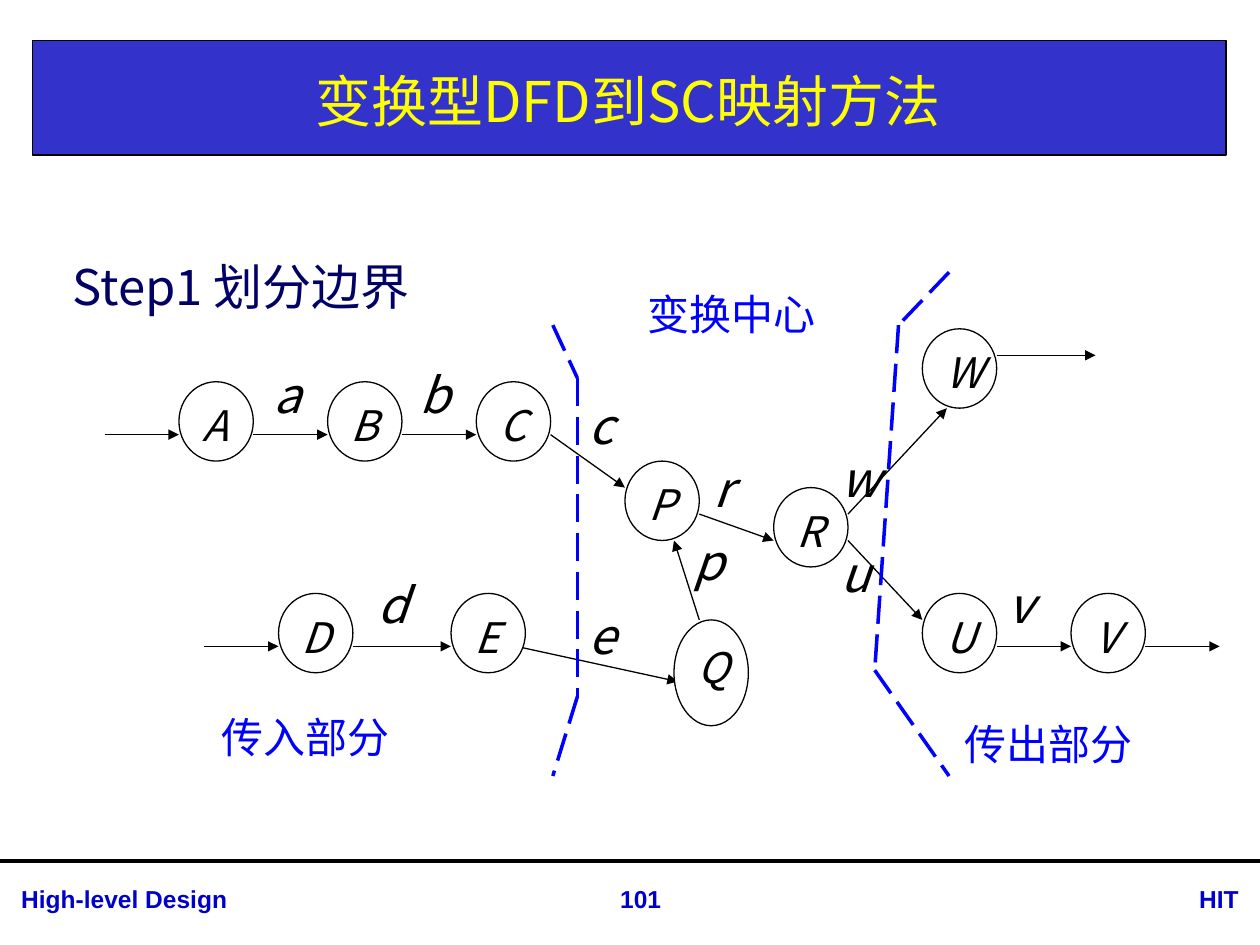
import itertools

import pptx
import pptx.dml.color
import pptx.enum.dml
import pptx.enum.shapes
import pptx.enum.text
import pptx.oxml.ns
import pptx.util
from lxml import etree

WIDTH, HEIGHT = 10, 7.5
# Diagram grid: origin and cell size in inches
LEFT, TOP, COL, ROW = 0.83, 2.61, 0.59, 0.21

CJK, LATIN = "Noto Sans CJK SC", "Arial"
BLACK, WHITE, BLUE = "000000", "FFFFFF", "0000FF"
ALIGN = pptx.enum.text.PP_ALIGN

# Process: column, row, height in rows
PROCESSES = {
    "P": (7, 5, 3), "E": (4.66, 10, 3), "D": (2.34, 10, 3), "C": (5, 2, 3),
    "B": (3, 2, 3), "A": (1, 2, 3), "W": (11, 0, 3), "R": (9, 6, 3),
    "U": (11, 10, 3), "V": (13, 10, 3), "Q": (7.66, 11, 4),
}
# Flows: start column and row, end column and row
FLOWS_BEHIND = [((5.54, 12), (7.71, 13.33)), ((6, 4), (7, 6))]
FLOWS = [
    ((0, 4), (1, 4)), ((2, 4), (3, 4)), ((4, 4), (5, 4)),
    ((8, 7), (9, 8)), ((10, 8), (11, 11)), ((10, 7), (11.33, 3)),
    ((12, 12), (13, 12)), ((14, 12), (15, 12)), ((12, 1), (13.33, 1)),
    ((1.34, 12), (2.34, 12)), ((3.34, 12), (4.66, 12)), ((8, 11), (7.66, 8)),
]
# Flow name: column, row, width in columns
FLOW_NAMES = {
    "a": (2.1, 1.1, 0.8), "b": (4.07, 1.1, 0.8), "c": (6.34, 2.29, 0.78),
    "d": (3.51, 9.05, 0.8), "e": (6.34, 10.24, 0.78), "p": (7.75, 7.43, 0.8),
    "r": (8.03, 4.67, 0.54), "w": (9.73, 4.29, 0.9), "u": (9.73, 7.86, 0.75),
    "v": (11.98, 9.05, 0.71),
}
BOUNDARIES = [
    [(6.03, -0.14), (6.36, 1.86), (6.36, 13.9), (6.03, 16.9)],
    [(11.36, -2.14), (10.68, -0.14), (10.36, 12.9), (11.36, 16.9)],
]
# Text, then left, top, width and height in percent of the slide
REGIONS = [
    ("传入部分", (16.6, 74.67, 21.3, 6.67)),
    ("变换中心", (50.4, 29.87, 20.5, 6.67)),
    ("传出部分", (75.6, 75.33, 20.5, 6.67)),
]
FOOTER = [
    ("High-level Design", (0.7, 92.93, 38.5, 4.53), ALIGN.LEFT),
    ("HIT", (89, 92.93, 10.3, 4.53), ALIGN.RIGHT),
    ("101", (45.7, 92.93, 10.3, 4.53), ALIGN.CENTER),
]


def color(hex_string):
    return pptx.dml.color.RGBColor.from_string(hex_string)


def inches(*lengths):
    return [pptx.util.Inches(length) for length in lengths]


def share(left, top, width, height):
    return inches(left * WIDTH / 100, top * HEIGHT / 100,
                  width * WIDTH / 100, height * HEIGHT / 100)


def grid_point(col, row):
    return inches(LEFT + col * COL, TOP + row * ROW)


def write(frame, text, size, ink, font=CJK, align=ALIGN.LEFT, bold=False, italic=False):
    paragraph = frame.paragraphs[0]
    paragraph.alignment = align
    run = paragraph.add_run()
    run.text = text
    run.font.size = pptx.util.Pt(size)
    run.font.name = font
    run.font.bold = bold
    run.font.italic = italic
    run.font.color.rgb = color(ink)
    east_asian = etree.SubElement(run.font._element, pptx.oxml.ns.qn("a:ea"))
    east_asian.set("typeface", font)


def add_text(slide, box, text, size, ink, wrap=True, middle=False, **style):
    frame = slide.shapes.add_textbox(*box).text_frame
    frame.word_wrap = wrap
    if middle:
        frame.vertical_anchor = pptx.enum.text.MSO_ANCHOR.MIDDLE
    write(frame, text, size, ink, **style)


def add_outlined(slide, kind, box, fill):
    shape = slide.shapes.add_shape(kind, *box)
    shape.shadow.inherit = False
    shape.fill.solid()
    shape.fill.fore_color.rgb = color(fill)
    shape.line.color.rgb = color(BLACK)
    shape.line.width = pptx.util.Pt(0.75)
    return shape


def add_line(slide, start, end, ink=BLACK, width=0.75, dashed=False, arrow=False):
    line = slide.shapes.add_connector(
        pptx.enum.shapes.MSO_CONNECTOR.STRAIGHT, *start, *end)
    line.line.color.rgb = color(ink)
    line.line.width = pptx.util.Pt(width)
    if dashed:
        line.line.dash_style = pptx.enum.dml.MSO_LINE.LONG_DASH
    if arrow:
        head = etree.SubElement(line.line._get_or_add_ln(), pptx.oxml.ns.qn("a:tailEnd"))
        head.set("type", "triangle")
    etree.SubElement(line._element.spPr, pptx.oxml.ns.qn("a:effectLst"))


def add_flows(slide, flows):
    for start, end in flows:
        add_line(slide, grid_point(*start), grid_point(*end), arrow=True)


def add_process(slide, name, col, row, rows):
    box = grid_point(col, row) + inches(COL, rows * ROW)
    oval = add_outlined(slide, pptx.enum.shapes.MSO_SHAPE.OVAL, box, WHITE)
    oval.text_frame.vertical_anchor = pptx.enum.text.MSO_ANCHOR.TOP
    write(oval.text_frame, name, 24, BLACK, align=ALIGN.JUSTIFY, italic=True)


def main():
    deck = pptx.Presentation()
    deck.slide_width, deck.slide_height = inches(WIDTH, HEIGHT)
    slide = deck.slides.add_slide(deck.slide_layouts[6])

    # Title band and footer
    add_outlined(slide, pptx.enum.shapes.MSO_SHAPE.RECTANGLE,
                 share(2.6, 4.27, 94.7, 12.13), "3333CC")
    add_line(slide, inches(0, 6.83), inches(WIDTH, 6.83), width=2.25)
    for text, box, align in FOOTER:
        add_text(slide, share(*box), text, 14, "0000CC",
                 font=LATIN, align=align, bold=True)
    add_text(slide, share(2.6, 4.8, 94.5, 11.6), "变换型DFD到SC映射方法", 32, "FFFF00",
             middle=True, align=ALIGN.CENTER)

    # Data flow diagram
    add_flows(slide, FLOWS_BEHIND)
    for name, place in PROCESSES.items():
        add_process(slide, name, *place)
    add_flows(slide, FLOWS)
    for name, (col, row, cols) in FLOW_NAMES.items():
        add_text(slide, grid_point(col, row) + inches(cols * COL, 0.57), name, 28, BLACK,
                 wrap=False, italic=True)

    # Boundaries and the regions they divide
    for boundary in BOUNDARIES:
        for start, end in itertools.pairwise(boundary):
            add_line(slide, grid_point(*start), grid_point(*end),
                     ink=BLUE, width=2, dashed=True)
    for text, box in REGIONS:
        add_text(slide, share(*box), text, 24, BLUE)
    add_text(slide, share(3.3, 26.53, 31.7, 7.6), "Step1 划分边界", 28, "000066",
             align=ALIGN.CENTER)

    deck.save("out.pptx")


if __name__ == "__main__":
    main()
